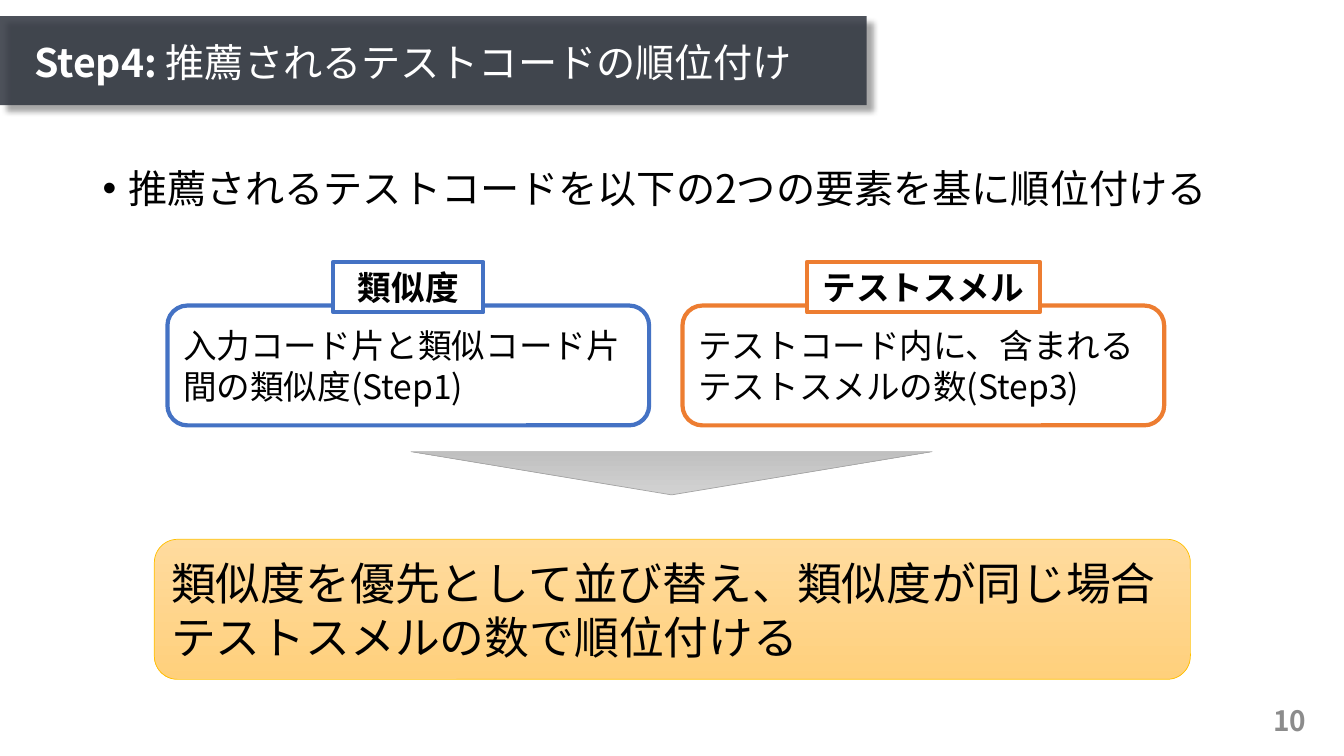
from lxml.etree import SubElement
from pptx import Presentation
from pptx.dml.color import RGBColor
from pptx.enum.shapes import MSO_SHAPE as SHAPE
from pptx.enum.text import MSO_ANCHOR as ANCHOR, MSO_AUTO_SIZE as AUTO, PP_ALIGN as ALIGN
from pptx.oxml.ns import qn
from pptx.util import Cm, Pt

FONT = "Noto Sans CJK JP"
BLACK = RGBColor(0x00, 0x00, 0x00)
WHITE = RGBColor(0xFF, 0xFF, 0xFF)
SLATE = RGBColor(0x30, 0x35, 0x3F)
BLUE = RGBColor(0x44, 0x72, 0xC4)
ORANGE = RGBColor(0xED, 0x7D, 0x31)
GOLD = RGBColor(0xFF, 0xC0, 0x00)
GRAY = RGBColor(0xA5, 0xA5, 0xA5)
NUMBER_GRAY = RGBColor(0x8C, 0x8C, 0x8C)
GRAY_FADE = (RGBColor(0xD2, 0xD2, 0xD2), RGBColor(0xC0, 0xC0, 0xC0))
GOLD_FADE = (RGBColor(0xFF, 0xDB, 0x9E), RGBColor(0xFF, 0xD0, 0x7C))

BOX_W, BOX_H, BOX_TOP = 12.14, 3.02, 7.7
LABEL_H, LABEL_TOP = 1.27, 6.6
FACTORS = [
    (4.22, BLUE, 3.78, "類似度", "入力コード片と類似コード片間の類似度(Step1)"),
    (17.2, ORANGE, 5.87, "テストスメル", "テストコード内に、含まれるテストスメルの数(Step3)"),
]


class SlideBuilder:
    """Draws styled elements on one slide."""

    def __init__(self, prs):
        self.s = prs.slides.add_slide(prs.slide_layouts[5])

    def add_runs(self, sp, runs, size, color=BLACK, align=ALIGN.LEFT,
                 anchor=ANCHOR.MIDDLE, auto=AUTO.NONE):
        tf = sp.text_frame
        tf.word_wrap = True
        tf.auto_size = auto
        tf.vertical_anchor = anchor
        p = tf.paragraphs[0]
        p.alignment = align
        for text, bold in runs:
            r = p.add_run()
            r.text = text
            r.font.name = FONT
            r.font.size = Pt(size)
            r.font.bold = bold
            r.font.color.rgb = color
            SubElement(r.font._element, qn("a:ea"), typeface=FONT)
        return p

    def shape(self, kind, box, fill, line=None, width=0.5):
        sp = self.s.shapes.add_shape(kind, *map(Cm, box))
        sp.shadow.inherit = False
        if isinstance(fill, tuple) and not isinstance(fill, RGBColor):
            sp.fill.gradient()
            sp.fill.gradient_angle = 270
            for stop, color in zip(sp.fill.gradient_stops, fill):
                stop.color.rgb = color
        else:
            sp.fill.solid()
            sp.fill.fore_color.rgb = fill
        if line is None:
            sp.line.fill.background()
        else:
            sp.line.color.rgb = line
            sp.line.width = Pt(width)
        return sp

    def text(self, box, content, size, bold=False, **style):
        sp = self.s.shapes.add_textbox(*map(Cm, box))
        return self.add_runs(sp, [(content, bold)], size, **style)

    def bullet(self, box, content, size):
        p = self.text(box, content, size, anchor=ANCHOR.TOP)
        pPr = p._p.get_or_add_pPr()
        pPr.set("marL", str(Cm(0.64)))
        pPr.set("indent", str(Cm(-0.64)))
        SubElement(pPr, qn("a:buFont"), typeface="Arial")
        SubElement(pPr, qn("a:buChar"), char="•")
        p.line_spacing = 0.9

    def title_bar(self, box):
        sp = self.shape(SHAPE.RECTANGLE, box, SLATE)
        spPr = sp._element.spPr
        fill_color = spPr.find(qn("a:solidFill"))[0]
        SubElement(fill_color, qn("a:alpha"), val="86000")
        shadow = SubElement(spPr.find(qn("a:effectLst")), qn("a:outerShdw"),
                            blurRad=str(Pt(4)), dist=str(Pt(6)), dir="2700000",
                            algn="tl", rotWithShape="0")
        color = SubElement(shadow, qn("a:srgbClr"), val="000000")
        SubElement(color, qn("a:alpha"), val="40000")
        self.s.shapes._spTree.insert(2, sp._element)

    def title(self, box, runs, size):
        sp = self.s.shapes.title
        sp.left, sp.top, sp.width, sp.height = map(Cm, box)
        p = self.add_runs(sp, runs, size, WHITE)
        p.line_spacing = 0.9

    def factor(self, left, color, label_w, label, content):
        box = self.shape(SHAPE.ROUNDED_RECTANGLE, (left, BOX_TOP, BOX_W, BOX_H),
                         WHITE, color, 3)
        self.add_runs(box, [(content, False)], 24)
        label_left = left + (BOX_W - label_w) / 2
        tag = self.shape(SHAPE.RECTANGLE, (label_left, LABEL_TOP, label_w, LABEL_H),
                         WHITE, color, 3)
        self.add_runs(tag, [(label, True)], 24, align=ALIGN.CENTER,
                      anchor=ANCHOR.TOP, auto=AUTO.SHAPE_TO_FIT_TEXT)


def main():
    prs = Presentation()
    prs.slide_width, prs.slide_height = Cm(33.87), Cm(19.05)
    b = SlideBuilder(prs)
    b.title_bar((0, 0.41, 21.84, 2.24))
    b.title((0.61, 0.61, 21.44, 2.03),
            [("Step4: ", True), ("推薦されるテストコードの順位付け", False)], 28)
    b.bullet((2.34, 4.14, 29.21, 1.6),
             "推薦されるテストコードを以下の2つの要素を基に順位付ける", 28)
    for factor in FACTORS:
        b.factor(*factor)
    arrow = b.shape(SHAPE.ISOSCELES_TRIANGLE, (10.36, 11.38, 13.13, 1.09),
                    GRAY_FADE, GRAY)
    arrow.rotation = 180
    result = b.shape(SHAPE.FLOWCHART_ALTERNATE_PROCESS, (3.89, 13.59, 26.11, 3.53),
                     GOLD_FADE, GOLD)
    b.add_runs(result, [("類似度を優先として並び替え、類似度が同じ場合"
                         "テストスメルの数で順位付ける", False)], 32)
    b.text((25.55, 17.65, 7.62, 1.02), "10", 20, bold=True,
           color=NUMBER_GRAY, align=ALIGN.RIGHT)
    prs.save("out.pptx")


if __name__ == "__main__":
    main()
